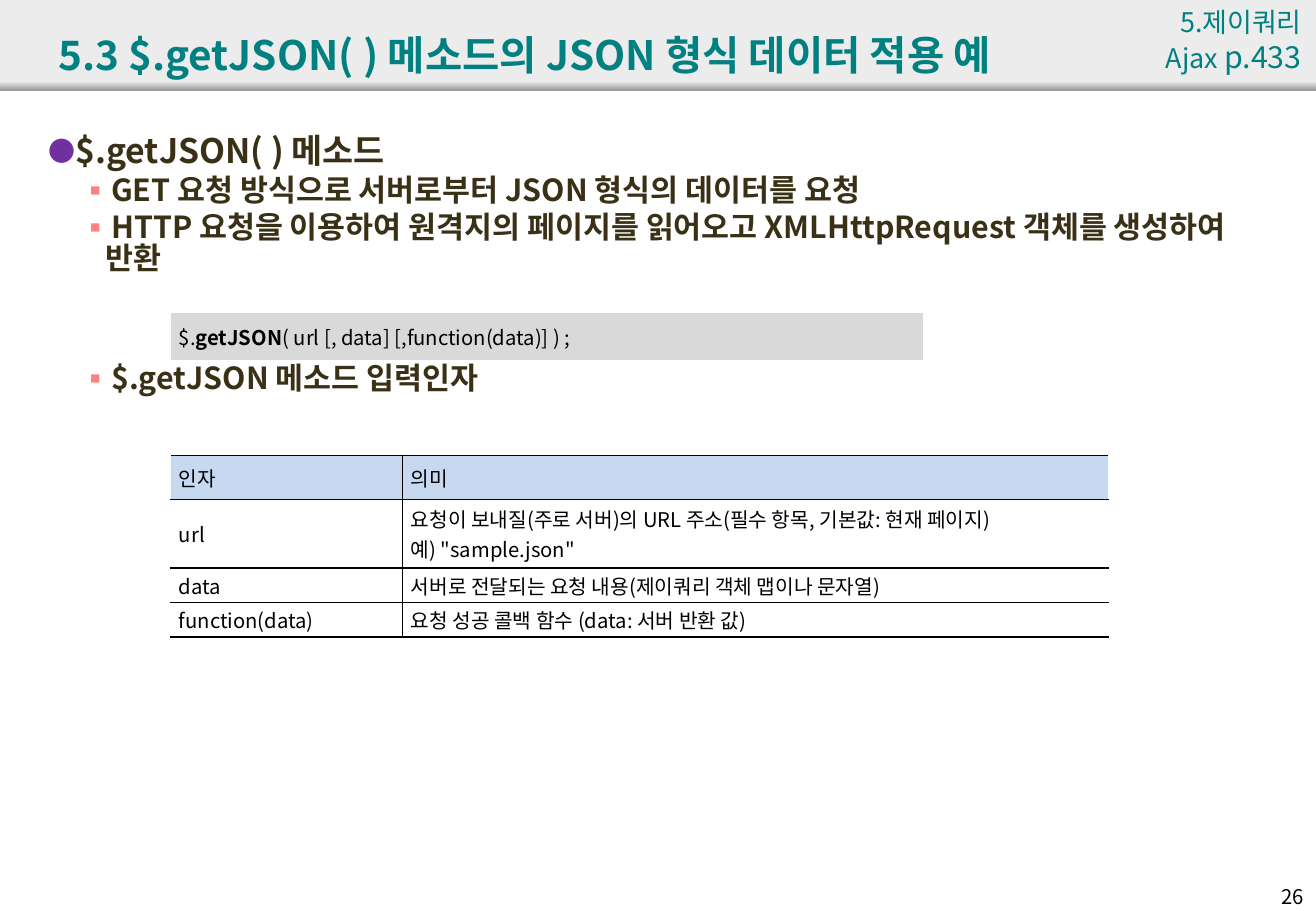
from pptx import Presentation
from pptx.dml.color import RGBColor as RGB
from pptx.enum.shapes import MSO_SHAPE as SHAPE
from pptx.enum.text import MSO_ANCHOR as ANCHOR, PP_ALIGN as ALIGN
from pptx.oxml import parse_xml
from pptx.oxml.ns import nsdecls
from pptx.util import Cm, Pt

# Content
TITLE = "5.3 $.getJSON( ) 메소드의 JSON 형식 데이터 적용 예"
CHAPTER = [("5.제이쿼리 Ajax ", 16), ("p.433", 18)]
PAGE = "26"
# level, space before in points, text
BODY = [
    (0, 4, "$.getJSON( ) 메소드"),
    (1, 3.6, "GET 요청 방식으로 서버로부터 JSON 형식의 데이터를 요청"),
    (1, 3.6, "HTTP 요청을 이용하여 원격지의 페이지를 읽어오고 XMLHttpRequest 객체를 생성하여 반환"),
    (1, 53, "$.getJSON 메소드 입력인자"),
]
CODE = [("$.", False), ("getJSON", True), ("( url [, data] [,function(data)] ) ;", False)]
ARGS = [
    ("인자", "의미"),
    ("url", '요청이 보내질(주로 서버)의 URL 주소(필수 항목, 기본값: 현재 페이지)\n예) "sample.json"'),
    ("data", "서버로 전달되는 요청 내용(제이쿼리 객체 맵이나 문자열)"),
    ("function(data)", "요청 성공 콜백 함수 (data: 서버 반환 값)"),
]
ROWS = [0.92, 1.44, 0.72, 0.72]
COLS = [4.85, 14.76]


class Theme:
    face = "Noto Sans CJK KR"
    teal, brown, black = "008080", "3A3016", "000000"
    band, shade, code, head = "ECECEC", "979797", "D9D9D9", "C6D9F1"
    title, small = 24, 12
    # size, left margin in cm, bullet, bullet colour, bullet size in percent
    levels = [(20, 0.51, "●", "7030A0", 80), (18, 1.19, "▪", "FF8080", 100)]


WIDE, HIGH = 27.51, 19.05
prs = Presentation()
prs.slide_width, prs.slide_height = Cm(WIDE), Cm(HIGH)
slide = prs.slides.add_slide(prs.slide_layouts[6])


def style(par, size, color, bold=False, align=ALIGN.LEFT):
    par.alignment = align
    font = par.font
    font.name, font.size, font.bold = Theme.face, Pt(size), bold
    font.color.rgb = RGB.from_string(color)
    east = parse_xml(f'<a:ea {nsdecls("a")} typeface="{Theme.face}"/>')
    font._element.find("{*}latin").addnext(east)


def add_box(left, top, width, height, anchor=ANCHOR.TOP):
    frame = slide.shapes.add_textbox(Cm(left), Cm(top), Cm(width), Cm(height)).text_frame
    frame.word_wrap, frame.vertical_anchor = True, anchor
    return frame


def add_band(top, height):
    band = slide.shapes.add_shape(SHAPE.RECTANGLE, 0, Cm(top), Cm(WIDE), Cm(height))
    band.shadow.inherit = False
    band.line.fill.background()
    return band.fill


def add_bullet(par, left, mark, color, size):
    props = par._p.get_or_add_pPr()
    props.set("marL", str(Cm(left)))
    props.set("indent", str(-Cm(0.51)))
    ns = nsdecls("a")
    parts = [
        f'<a:buClr {ns}><a:srgbClr val="{color}"/></a:buClr>',
        f'<a:buSzPct {ns} val="{size * 1000}"/>',
        f'<a:buFont {ns} typeface="{Theme.face}"/>',
        f'<a:buChar {ns} char="{mark}"/>',
    ]
    spot = props.find("{*}defRPr")
    for part in parts:
        spot.addprevious(parse_xml(part))


def add_grid(left, top, cols, rows):
    grid = slide.shapes.add_table(len(rows), len(cols), Cm(left), Cm(top),
                                  Cm(sum(cols)), Cm(sum(rows))).table
    grid.first_row = grid.horz_banding = False
    for col, width in zip(grid.columns, cols):
        col.width = Cm(width)
    for row, height in zip(grid.rows, rows):
        row.height = Cm(height)
    return grid


def set_cell(cell, fill, pad):
    cell.vertical_anchor = ANCHOR.MIDDLE
    cell.margin_left = cell.margin_right = Cm(0.18)
    cell.margin_top = cell.margin_bottom = Cm(pad)
    if fill:
        cell.fill.solid()
        cell.fill.fore_color.rgb = RGB.from_string(fill)
    else:
        cell.fill.background()
    for par in cell.text_frame.paragraphs:
        style(par, Theme.small, Theme.black, align=ALIGN.JUSTIFY)


def add_edges(cell, sides):
    props = cell._tc.get_or_add_tcPr()
    for spot, side in enumerate(sides):
        props.insert(spot, parse_xml(
            f'<a:ln{side} {nsdecls("a")} w="12700"><a:solidFill>'
            f'<a:srgbClr val="{Theme.black}"/></a:solidFill></a:ln{side}>'))


# Header bands
flat = add_band(0, 1.9)
flat.solid()
flat.fore_color.rgb = RGB.from_string(Theme.band)
fade = add_band(1.7, 0.2)
fade.gradient()
fade.gradient_angle = 270
for stop, color in zip(fade.gradient_stops, (Theme.band, Theme.shade)):
    stop.color.rgb = RGB.from_string(color)

# Title, chapter and page number
par = add_box(0.97, 0.33, 25.2, 1.6, ANCHOR.MIDDLE).paragraphs[0]
par.text = TITLE
style(par, Theme.title, Theme.teal, True)

par = add_box(23.88, 0, 3.58, 1.7).paragraphs[0]
style(par, CHAPTER[0][1], Theme.teal, align=ALIGN.RIGHT)
for text, size in CHAPTER:
    run = par.add_run()
    run.text, run.font.size = text, Pt(size)

par = add_box(26.11, 18.36, 1.4, 0.69).paragraphs[0]
par.text = PAGE
style(par, Theme.small, Theme.black, align=ALIGN.RIGHT)

# Bulleted body
frame = add_box(0.76, 2.72, 26.21, 15.8)
for spot, (level, gap, text) in enumerate(BODY):
    par = frame.add_paragraph() if spot else frame.paragraphs[0]
    size, *bullet = Theme.levels[level]
    par.text, par.level = text, level
    par.line_spacing, par.space_before = 0.85, Pt(gap)
    style(par, size, Theme.brown, True)
    add_bullet(par, *bullet)

# Syntax line
cell = add_grid(3.56, 6.53, [15.75], [1.02]).cell(0, 0)
set_cell(cell, Theme.code, 0.2)
for text, bold in CODE:
    run = cell.text_frame.paragraphs[0].add_run()
    run.text, run.font.bold = text, bold

# Argument table
grid = add_grid(3.56, 9.52, COLS, ROWS)
for r, line in enumerate(ARGS):
    for c, text in enumerate(line):
        cell = grid.cell(r, c)
        cell.text = text
        set_cell(cell, None if r else Theme.head, 0)
        add_edges(cell, "LTB" if c else "RTB")

prs.save("out.pptx")
